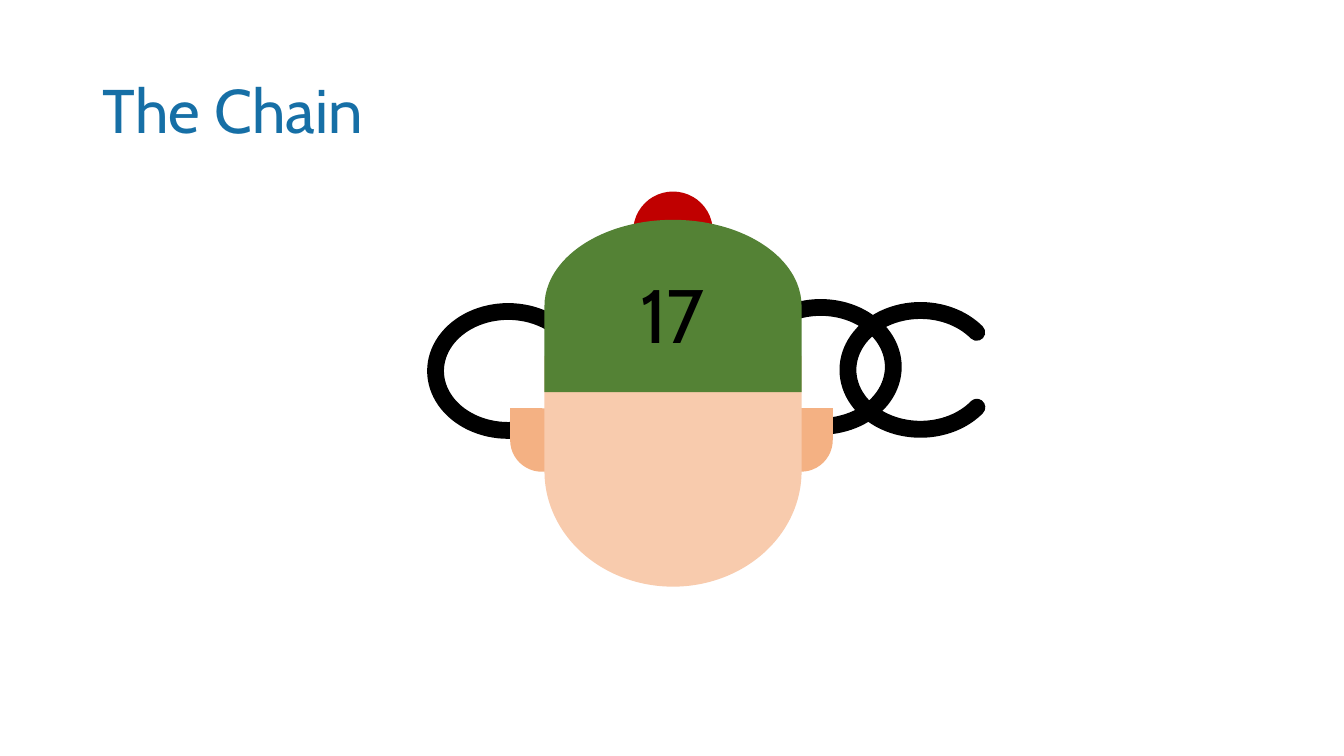
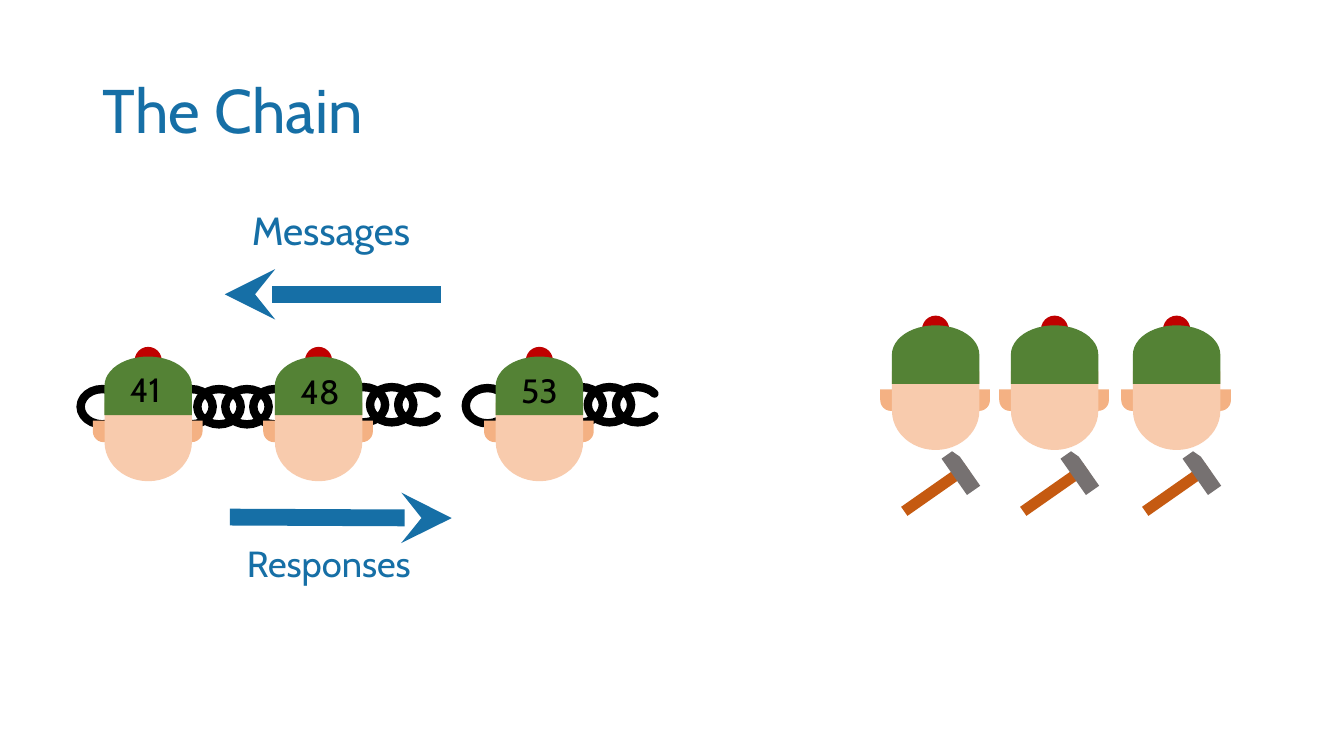
from dataclasses import dataclass
from typing import Any

from lxml import etree
from pptx import Presentation
from pptx.dml.color import RGBColor
from pptx.enum import shapes, text
from pptx.oxml import ns
from pptx.util import Inches, Pt

BLUE = RGBColor(0x16, 0x6F, 0xA6)
BLACK = RGBColor(0x00, 0x00, 0x00)
EAR = RGBColor(0xF4, 0xB1, 0x83)
SKIN = RGBColor(0xF8, 0xCB, 0xAD)
RED = RGBColor(0xC0, 0x00, 0x00)
GREEN = RGBColor(0x54, 0x82, 0x35)
WOOD = RGBColor(0xC5, 0x5A, 0x11)
STEEL = RGBColor(0x76, 0x71, 0x71)
FONT = "Cabin"
SHAPE = shapes.MSO_SHAPE
SMALL = 0.34  # size of a small dwarf relative to the large one


@dataclass(frozen=True)
class Part:
    """A filled shape placed by its centre's offset from the face centre."""
    kind: Any
    dx: float
    dy: float
    width: float
    height: float
    turn: float
    color: RGBColor


@dataclass(frozen=True)
class Ring:
    left: float
    top: float
    is_open: bool = False


@dataclass(frozen=True)
class Label:
    words: str
    left: float
    top: float
    width: float
    height: float
    size: float
    color: RGBColor = BLACK
    spacing: float = 1.0


@dataclass(frozen=True)
class Arrow:
    x1: float
    y1: float
    x2: float
    y2: float


DWARF = [
    Part(SHAPE.TEAR, 1.27, -0.31, 0.63, 0.63, 0, EAR),
    Part(SHAPE.TEAR, -1.3, -0.31, 0.63, 0.63, 270, EAR),
    Part(SHAPE.FLOWCHART_DELAY, 0, 0, 2.29, 2.55, 90, SKIN),
    Part(SHAPE.OVAL, 0, -2.38, 0.79, 0.79, 0, RED),
    Part(SHAPE.FLOWCHART_DELAY, 0, -1.64, 1.71, 2.55, 270, GREEN),
]
HAMMER = [
    Part(SHAPE.FLOWCHART_PROCESS, 0, 0.78, 0.11, 0.76, 55, WOOD),
    Part(SHAPE.FLOWCHART_CARD, 0.25, 0.61, 0.44, 0.16, 55, STEEL),
]


def add_page(deck: Any, title: str) -> Any:
    page = deck.slides.add_slide(deck.slide_layouts[5])
    box = page.shapes.title
    box.left, box.top = Inches(0.92), Inches(0.4)
    box.width, box.height = Inches(11.5), Inches(1.45)
    write(box.text_frame, title, 44, BLUE, 0.9)
    box.text_frame.vertical_anchor = text.MSO_ANCHOR.MIDDLE
    return page


def write(frame: Any, words: str, size: float, color: RGBColor, spacing: float) -> None:
    frame.text = words
    frame.word_wrap = True
    frame.auto_size = text.MSO_AUTO_SIZE.NONE
    para = frame.paragraphs[0]
    para.alignment = text.PP_ALIGN.LEFT
    para.line_spacing = spacing
    para.font.name, para.font.size = FONT, Pt(size)
    para.font.color.rgb = color


def add_label(page: Any, label: Label) -> None:
    box = page.shapes.add_textbox(Inches(label.left), Inches(label.top),
                                  Inches(label.width), Inches(label.height))
    write(box.text_frame, label.words, label.size, label.color, label.spacing)


def add_figure(page: Any, parts: list[Part], x: float, y: float, scale: float = 1) -> None:
    """Draw the parts as one group around the face centre (x, y)."""
    group = page.shapes.add_group_shape()
    for part in parts:
        width, height = part.width * scale, part.height * scale
        shape = group.shapes.add_shape(
            part.kind,
            Inches(x + part.dx * scale - width / 2),
            Inches(y + part.dy * scale - height / 2),
            Inches(width), Inches(height))
        shape.rotation = part.turn
        shape.shadow.inherit = False
        shape.fill.solid()
        shape.fill.fore_color.rgb = part.color
        shape.line.fill.background()


def add_ring(page: Any, ring: Ring, width: float, height: float, weight: float) -> None:
    kind = SHAPE.BLOCK_ARC if ring.is_open else SHAPE.OVAL
    shape = page.shapes.add_shape(kind, Inches(ring.left), Inches(ring.top),
                                  Inches(width), Inches(height))
    if ring.is_open:
        # Start and end angles leave the gap on the right
        for index, value in enumerate((20.11, 195.8, 0.001)):
            shape.adjustments[index] = value
    shape.shadow.inherit = False
    shape.fill.background()
    shape.line.color.rgb = BLACK
    shape.line.width = Pt(weight)


def add_arrow(page: Any, arrow: Arrow) -> None:
    line = page.shapes.add_connector(
        shapes.MSO_CONNECTOR.STRAIGHT, Inches(arrow.x1), Inches(arrow.y1),
        Inches(arrow.x2), Inches(arrow.y2))
    line.line.color.rgb = BLUE
    line.line.width = Pt(12)
    etree.SubElement(line.line._get_or_add_ln(), ns.qn("a:tailEnd"), type="stealth")
    etree.SubElement(line._element.spPr, ns.qn("a:effectLst"))


def build_single(deck: Any) -> None:
    page = add_page(deck, "The Chain")
    for ring in (Ring(4.32, 3.09), Ring(8.41, 3.08, True), Ring(7.42, 3.05)):
        add_ring(page, ring, 1.44, 1.18, 12)
    add_figure(page, DWARF, 6.675, 4.675)
    add_label(page, Label("17", 6.25, 2.61, 2.34, 1, 54))


def build_chain(deck: Any) -> None:
    page = add_page(deck, "The Chain")

    # Chain links behind the dwarfs
    links = [Ring(1.68 + 0.2775 * step, 3.86) for step in range(5)]
    links += [Ring(0.8, 3.86), Ring(4.62, 3.85)]
    for start in (3.39, 5.55):
        links += [Ring(start + 0.28 * step, 3.84, step == 2) for step in range(3)]
    for ring in links:
        add_ring(page, ring, 0.43, 0.35, 6)

    # Numbered dwarfs on the chain
    for number, x, top in (("41", 1.47, 3.61), ("48", 3.16, 3.63), ("53", 5.35, 3.62)):
        add_figure(page, DWARF, x, 4.385, SMALL)
        add_label(page, Label(number, x - 0.28, top, 0.7, 0.5, 24))

    # Free dwarfs with hammers
    for x in (9.28, 10.46, 11.67):
        add_figure(page, DWARF, x, 4.075, SMALL)
        add_figure(page, HAMMER, x, 4.075)

    # Directions of travel
    add_arrow(page, Arrow(2.28, 5.13, 4.48, 5.14))
    add_arrow(page, Arrow(4.37, 2.92, 2.23, 2.92))
    add_label(page, Label("Messages", 2.4, 2.05, 1.96, 0.54, 28, BLUE, 0.9))
    add_label(page, Label("Responses", 2.35, 5.4, 2.12, 0.54, 25.9, BLUE, 0.8))


def main() -> None:
    deck = Presentation()
    deck.slide_width, deck.slide_height = Inches(13.33), Inches(7.5)
    build_single(deck)
    build_chain(deck)
    deck.save("out.pptx")


if __name__ == "__main__":
    main()
